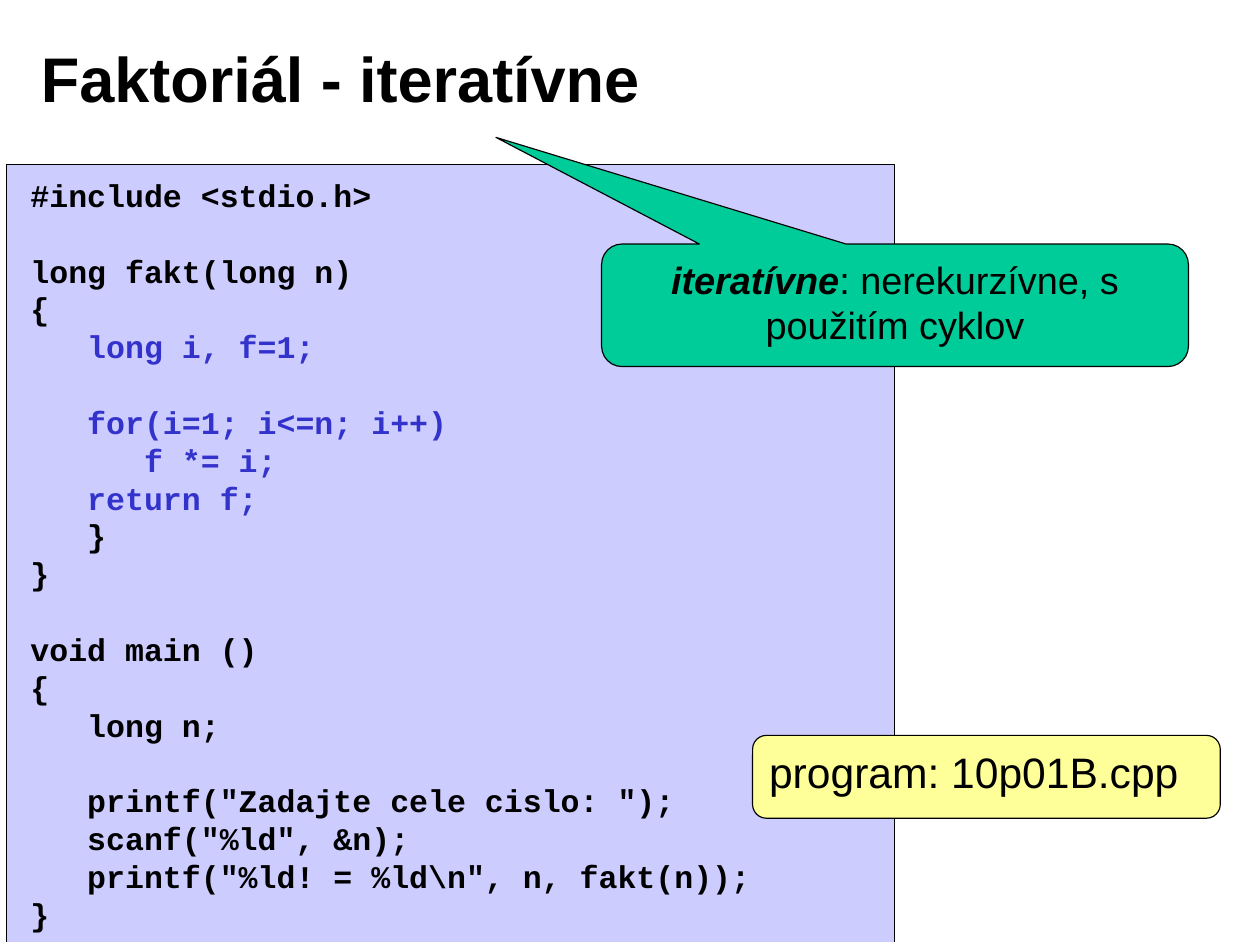
from dataclasses import dataclass

from pptx import Presentation
from pptx.dml.color import RGBColor as Color
from pptx.enum.shapes import MSO_SHAPE as Shape
from pptx.enum.text import MSO_ANCHOR as Anchor, PP_ALIGN as Align
from pptx.util import Inches, Pt

CELL = Inches(0.1)
COLUMNS, ROWS = 111, 83

CODE = r"""#include <stdio.h>

long fakt(long n)
{
   long i, f=1;

   for(i=1; i<=n; i++)
      f *= i;
   return f;
   }
}

void main ()
{
   long n;

   printf("Zadajte cele cislo: ");
   scanf("%ld", &n);
   printf("%ld! = %ld\n", n, fakt(n));
}"""
LOOP_LINES = range(4, 9)


@dataclass(frozen=True)
class Theme:
    """Colours, fonts and type sizes of the slide."""
    ink: str = "000000"
    loop: str = "3333CC"
    panel: str = "CCCCFF"
    callout: str = "00CC99"
    label: str = "FFFF99"
    sans: str = "Arial"
    mono: str = "Courier New"
    title_size: float = 40
    label_size: float = 27
    label_pitch: float = 32
    callout_size: float = 24
    callout_pitch: float = 28.5
    code_size: float = 20
    code_pitch: float = 24
    line_width: float = 0.75


THEME = Theme()


def place(*cells):
    """Turn columns and rows of the grid into lengths."""
    return [round(cell * CELL) for cell in cells]


def set_frame(box, side=0.11, top=0.06, anchor=Anchor.TOP):
    """Prepare the text frame of a box and return it."""
    frame = box.text_frame
    frame.word_wrap = True
    frame.vertical_anchor = anchor
    frame.margin_left = frame.margin_right = Inches(side)
    frame.margin_top = frame.margin_bottom = Inches(top)
    return frame


def add_span(para, text, size, font=THEME.sans, color=THEME.ink, bold=False, italic=False):
    """Add formatted text to a paragraph."""
    span = para.add_run()
    span.text = text
    span.font.name, span.font.size = font, Pt(size)
    span.font.bold, span.font.italic = bold, italic
    span.font.color.rgb = Color.from_string(color)


def add_panel(page, kind, cells, fill, adjustments=()):
    """Draw a filled, outlined shape."""
    box = page.shapes.add_shape(kind, *place(*cells))
    box.shadow.inherit = False
    box.fill.solid()
    box.fill.fore_color.rgb = Color.from_string(fill)
    box.line.color.rgb = Color.from_string(THEME.ink)
    box.line.width = Pt(THEME.line_width)
    for index, value in enumerate(adjustments):
        box.adjustments[index] = value
    return box


def add_title(page, text, cells):
    """Add the bold heading."""
    box = page.shapes.add_textbox(*place(*cells))
    frame = set_frame(box, anchor=Anchor.MIDDLE)
    add_span(frame.paragraphs[0], text, THEME.title_size, bold=True)


def add_code(page, code, loop_lines, cells):
    """Add a code listing whose empty lines become paragraph spacing."""
    frame = set_frame(page.shapes.add_textbox(*place(*cells)), side=0.1, top=0.05)
    para, gap = frame.paragraphs[0], 0
    for number, line in enumerate(code.splitlines()):
        if not line:
            gap += THEME.code_pitch
            continue
        if number:
            para = frame.add_paragraph()
        para.alignment = Align.LEFT
        para.line_spacing = Pt(THEME.code_pitch)
        para.space_before = Pt(gap)
        color = THEME.loop if number in loop_lines else THEME.ink
        add_span(para, line, THEME.code_size, font=THEME.mono, color=color, bold=True)
        gap = 0


def first_para(box, pitch, align):
    """Return the first paragraph of a shape, aligned and spaced."""
    para = set_frame(box).paragraphs[0]
    para.alignment, para.line_spacing = align, Pt(pitch)
    return para


def add_label(page, text, cells):
    """Add the rounded file label."""
    box = add_panel(page, Shape.ROUNDED_RECTANGLE, cells, THEME.label, [0.167])
    para = first_para(box, THEME.label_pitch, Align.LEFT)
    add_span(para, text, THEME.label_size)


def add_callout(page, term, meaning, cells, tip):
    """Add a callout that explains a term."""
    box = add_panel(page, Shape.ROUNDED_RECTANGULAR_CALLOUT, cells, THEME.callout, [*tip, 0.167])
    para = first_para(box, THEME.callout_pitch, Align.CENTER)
    add_span(para, term, THEME.callout_size, bold=True, italic=True)
    add_span(para, meaning, THEME.callout_size)


def main():
    """Build and save the slide."""
    deck = Presentation()
    deck.slide_width, deck.slide_height = place(COLUMNS, ROWS)
    page = deck.slides.add_slide(deck.slide_layouts[6])
    add_panel(page, Shape.RECTANGLE, (0.6, 14.5, 78.2, 68.7), THEME.panel)
    add_code(page, CODE, LOOP_LINES, (1.7, 15, 67.7, 68))
    add_label(page, "program: 10p01B.cpp", (66.3, 64.8, 41.2, 7.3))
    add_title(page, "Faktoriál - iteratívne", (2.5, 1.7, 89.2, 10.2))
    add_callout(page, "iteratívne", ": nerekurzívne, s použitím cyklov",
                (53, 21.5, 51.7, 10.8), tip=(-0.68, -1.37))
    deck.save("out.pptx")


if __name__ == "__main__":
    main()
